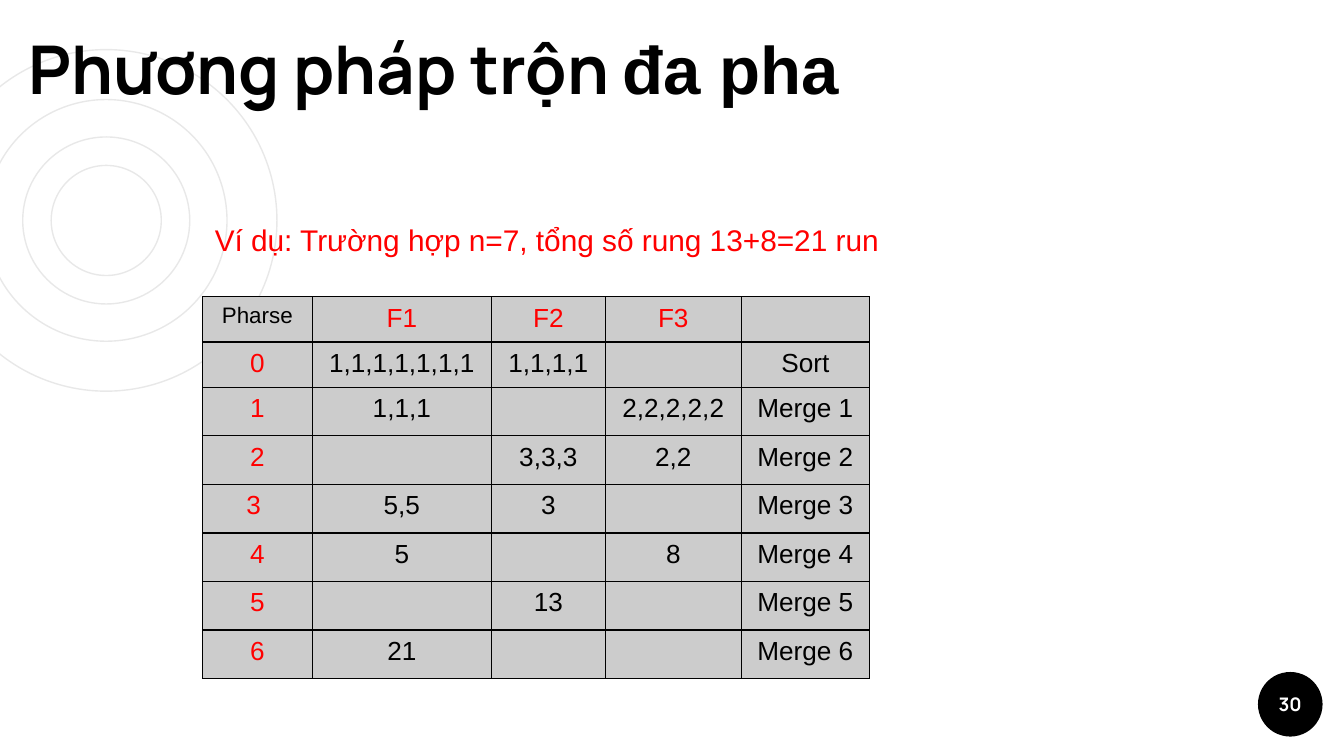
from dataclasses import dataclass

from lxml.etree import SubElement
from pptx import Presentation
from pptx.dml.color import RGBColor
from pptx.enum.shapes import MSO_SHAPE
from pptx.enum.text import MSO_ANCHOR, MSO_AUTO_SIZE, PP_ALIGN
from pptx.oxml.ns import qn
from pptx.shapes.autoshape import Shape
from pptx.slide import Slide
from pptx.table import _Cell
from pptx.text.text import _Run
from pptx.util import Pt


@dataclass(frozen=True)
class Theme:
    ink: RGBColor = RGBColor(0, 0, 0)
    accent: RGBColor = RGBColor(255, 0, 0)
    paper: RGBColor = RGBColor(255, 255, 255)
    cell: RGBColor = RGBColor(0xCC, 0xCC, 0xCC)
    ring: RGBColor = RGBColor(0xE8, 0xE8, 0xE8)
    heading_font: str = "Manrope"
    body_font: str = "Arial"
    title_size: int = 36
    example_size: int = 16
    cell_size: int = 14
    corner_size: int = 12
    page_size: int = 10
    line: float = 0.75


@dataclass(frozen=True)
class Circle:
    center_x: float
    center_y: float
    diameter: float


THEME = Theme()
RINGS = [Circle(56.9, 118.1, diameter) for diameter in (183, 89.5, 129.5, 59)]
PAGE_BADGE = Circle(691.2, 377.3, 34.6)
COLUMN_WIDTHS = (59, 95.8, 61.2, 72.7, 68.8)
ROW_HEIGHTS = (23.3,) * 2 + (26.05,) * 6
PHASES = [
    ("Pharse", "F1", "F2", "F3", ""),
    ("0", "1,1,1,1,1,1,1", "1,1,1,1", "", "Sort"),
    ("1", "1,1,1", "", "2,2,2,2,2", "Merge 1"),
    ("2", "", "3,3,3", "2,2", "Merge 2"),
    ("3 ", "5,5", "3", "", "Merge 3"),
    ("4", "5", "", "8", "Merge 4"),
    ("5", "", "13", "", "Merge 5"),
    ("6", "21", "", "", "Merge 6"),
]


def format_run(run: _Run, font: str, size: float, color: RGBColor, bold: bool = False) -> None:
    run.font.name = font
    run.font.size = Pt(size)
    run.font.color.rgb = color
    run.font.bold = bold


def draw_circle(slide: Slide, circle: Circle) -> Shape:
    radius = circle.diameter / 2
    oval = slide.shapes.add_shape(
        MSO_SHAPE.OVAL, Pt(circle.center_x - radius), Pt(circle.center_y - radius),
        Pt(circle.diameter), Pt(circle.diameter))
    oval.shadow.inherit = False
    return oval


def draw_ring(slide: Slide, circle: Circle) -> None:
    ring = draw_circle(slide, circle)
    ring.fill.background()
    ring.line.color.rgb = THEME.ring
    ring.line.width = Pt(THEME.line)


def draw_page_badge(slide: Slide, circle: Circle, number: str) -> None:
    badge = draw_circle(slide, circle)
    badge.fill.solid()
    badge.fill.fore_color.rgb = THEME.ink
    badge.line.fill.background()
    frame = badge.text_frame
    frame.margin_left = frame.margin_right = 0
    frame.vertical_anchor = MSO_ANCHOR.MIDDLE
    frame.text = number
    frame.paragraphs[0].alignment = PP_ALIGN.CENTER
    format_run(frame.paragraphs[0].runs[0], THEME.heading_font, THEME.page_size, THEME.paper, True)


def border_cell(cell: _Cell) -> None:
    properties = cell._tc.get_or_add_tcPr()
    for side in ("a:lnL", "a:lnR", "a:lnT", "a:lnB"):
        border = SubElement(properties, qn(side), w=str(Pt(THEME.line)))
        fill = SubElement(border, qn("a:solidFill"))
        SubElement(fill, qn("a:srgbClr"), val=str(THEME.ink))


def fill_cell(cell: _Cell, text: str, size: float, color: RGBColor) -> None:
    border_cell(cell)
    cell.fill.solid()
    cell.fill.fore_color.rgb = THEME.cell
    cell.text = text
    paragraph = cell.text_frame.paragraphs[0]
    paragraph.alignment = PP_ALIGN.CENTER
    for run in paragraph.runs:
        format_run(run, THEME.body_font, size, color)
    if not text:
        SubElement(paragraph._p, qn("a:endParaRPr"), sz=str(size * 100))


def draw_phases(slide: Slide) -> None:
    phases = slide.shapes.add_table(
        len(ROW_HEIGHTS), len(COLUMN_WIDTHS), Pt(108.4), Pt(158.9),
        Pt(sum(COLUMN_WIDTHS)), Pt(sum(ROW_HEIGHTS))).table
    for column, width in zip(phases.columns, COLUMN_WIDTHS):
        column.width = Pt(width)
    for row, height in zip(phases.rows, ROW_HEIGHTS):
        row.height = Pt(height)
    for row_index, values in enumerate(PHASES):
        for column_index, value in enumerate(values):
            corner = row_index == column_index == 0
            label = (row_index == 0) != (column_index == 0)
            fill_cell(phases.cell(row_index, column_index), value,
                      THEME.corner_size if corner else THEME.cell_size,
                      THEME.accent if label else THEME.ink)


def draw_example(slide: Slide, text: str) -> None:
    example = slide.shapes.add_textbox(Pt(108), Pt(115.4), Pt(390), Pt(26.6))
    example.text_frame.word_wrap = True
    example.text_frame.text = text
    format_run(example.text_frame.paragraphs[0].runs[0],
               THEME.body_font, THEME.example_size, THEME.accent)


def draw_title(slide: Slide, opening: str, ending: str) -> None:
    title = slide.shapes.title
    title.left, title.top, title.width, title.height = Pt(8), Pt(10.8), Pt(513.4), Pt(54)
    frame = title.text_frame
    frame.auto_size = MSO_AUTO_SIZE.NONE
    frame.vertical_anchor = MSO_ANCHOR.BOTTOM
    frame.margin_left = frame.margin_right = frame.margin_top = frame.margin_bottom = Pt(7.2)
    frame.text = opening
    heading = frame.paragraphs[0]
    heading.alignment = PP_ALIGN.LEFT
    heading.add_run().text = ending
    for run, font in zip(heading.runs, (THEME.heading_font, THEME.body_font)):
        format_run(run, font, THEME.title_size, THEME.ink, True)
    slide.shapes.element.append(title.element)


def main() -> None:
    deck = Presentation()
    deck.slide_width, deck.slide_height = Pt(720), Pt(405)
    slide = deck.slides.add_slide(deck.slide_layouts[5])
    for ring in RINGS:
        draw_ring(slide, ring)
    draw_page_badge(slide, PAGE_BADGE, "30")
    draw_phases(slide)
    draw_example(slide, "Ví dụ: Trường hợp n=7, tổng số rung 13+8=21 run")
    draw_title(slide, "Phương pháp trộn ", "đa pha")
    deck.save("out.pptx")


if __name__ == "__main__":
    main()
